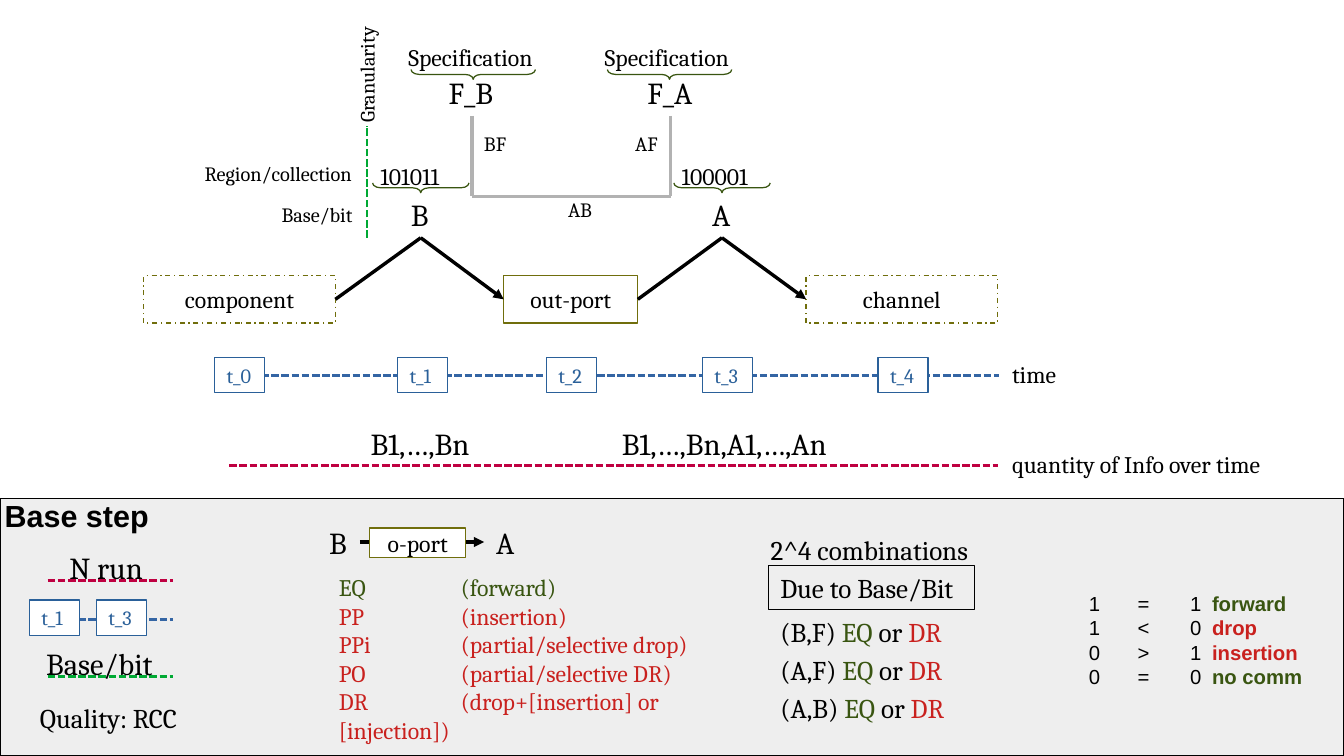
from lxml import etree
from pptx import Presentation
from pptx.dml.color import RGBColor
from pptx.enum.dml import MSO_LINE as DASH
from pptx.enum.shapes import MSO_CONNECTOR, MSO_SHAPE
from pptx.enum.text import MSO_ANCHOR as ANCHOR, MSO_AUTO_SIZE as AUTO, PP_ALIGN as ALIGN
from pptx.oxml.ns import qn
from pptx.util import Inches, Pt

BLACK = RGBColor(0x00, 0x00, 0x00)
WHITE = RGBColor(0xFF, 0xFF, 0xFF)
PANEL = RGBColor(0xEE, 0xEE, 0xEE)
GRAY = RGBColor(0xB2, 0xB2, 0xB2)
OLIVE = RGBColor(0x70, 0x6E, 0x0C)
NAVY = RGBColor(0x2A, 0x60, 0x99)
BLUE = RGBColor(0x34, 0x65, 0xA4)
CRIMSON = RGBColor(0xBF, 0x00, 0x41)
GREEN = RGBColor(0x00, 0xA9, 0x33)
FOREST = RGBColor(0x39, 0x55, 0x11)
RED = RGBColor(0xC9, 0x21, 0x1E)

SERIF, SANS = "Cambria", "Arial"
HEIGHTS = {12: 0.29, 14: 0.33, 16: 0.36, 18: 0.39}
TOP, LEFT, BOTTOM, RIGHT = range(4)

DASHED_LINES = [
    (1.89, 3.08, 8.19, 3.08, BLUE),
    (1.88, 3.82, 8.18, 3.82, CRIMSON),
    (0.39, 4.76, 1.42, 4.76, CRIMSON),
    (0.39, 5.08, 1.42, 5.08, BLUE),
    (0.39, 5.55, 1.42, 5.55, GREEN),
    (3.01, 1.95, 3.01, 1.03, GREEN),
]
TIME_STEPS = [
    ("t_0", 1.76, 2.93), ("t_1", 3.26, 2.93), ("t_2", 4.48, 2.93),
    ("t_3", 5.76, 2.93), ("t_4", 7.2, 2.93),
    ("t_1", 0.24, 4.92), ("t_3", 0.79, 4.92),
]
LABELS = [
    ("time", 8.2, 2.9, 0.63, 14),
    ("quantity of Info over time", 8.2, 3.64, 2.32, 14),
    ("B1,…,Bn", 2.94, 3.44, 1.07, 18),
    ("B1,…,Bn,A1,…,An", 5, 3.44, 2.01, 18),
    ("N run", 0.47, 4.45, 0.8, 18),
    ("Base/bit", 0.28, 5.24, 1.12, 18),
    ("Base/bit", 2.21, 1.61, 0.81, 12),
    ("Region/collection", 1.58, 1.27, 1.46, 12),
    ("AB", 4.56, 1.57, 0.4, 12),
    ("BF", 3.87, 1.03, 0.39, 12),
    ("AF", 5.11, 1.03, 0.39, 12),
    ("2^4 combinations", 6.22, 4.33, 1.93, 16),
]
BRANCHES = [
    ("B", 3.45, "101011", "F_B", 3.87, 3.25),
    ("A", 5.92, "100001", "F_A", 5.5, 4.86),
]
PORTS = [
    ("component", 1.18, 1.57, True),
    ("out-port", 4.13, 1.1, False),
    ("channel", 6.61, 1.57, True),
]
PAIRS = ["(B,F) ", "(A,F) ", "(A,B) "]
OUTCOMES = [
    ("EQ\t(forward)", FOREST),
    ("PP\t(insertion)", RED),
    ("PPi\t(partial/selective drop)", RED),
    ("PO\t(partial/selective DR)", RED),
    ("DR\t(drop+[insertion] or [injection])", RED),
]
COMPARISONS = [
    ("1", "=", "1", "forward", FOREST),
    ("1", "<", "0", "drop", RED),
    ("0", ">", "1", "insertion", RED),
    ("0", "=", "0", "no comm", FOREST),
]

prs = Presentation()
prs.slide_width, prs.slide_height = Inches(11.02), Inches(6.2)
shapes = prs.slides.add_slide(prs.slide_layouts[6]).shapes


def write(sp, paragraphs, size, font=SERIF, align=ALIGN.LEFT, wrap=False, tab=None):
    tf = sp.text_frame
    tf.word_wrap = wrap
    for i, runs in enumerate(paragraphs):
        p = tf.paragraphs[0] if i == 0 else tf.add_paragraph()
        p.alignment = align
        if tab:
            tabs = etree.SubElement(p._p.get_or_add_pPr(), qn("a:tabLst"))
            etree.SubElement(tabs, qn("a:tab"), pos=str(Inches(tab)), algn="l")
        for text, color, bold in runs:
            r = p.add_run()
            r.text = text
            r.font.name, r.font.size, r.font.bold = font, Pt(size), bold
            r.font.color.rgb = color


def text_box(paragraphs, x, y, w, size, **style):
    h = HEIGHTS[size] + (len(paragraphs) - 1) * size * 1.17 / 72
    sp = shapes.add_textbox(Inches(x), Inches(y), Inches(w), Inches(h))
    write(sp, paragraphs, size, **style)
    sp.text_frame.auto_size = AUTO.SHAPE_TO_FIT_TEXT
    return sp


def label(text, x, y, w, size, **style):
    return text_box([[(text, BLACK, False)]], x, y, w, size, **style)


def shape(kind, x, y, w, h, color, fill=None):
    sp = shapes.add_shape(kind, Inches(x), Inches(y), Inches(w), Inches(h))
    sp.shadow.inherit = False
    if fill is None:
        sp.fill.background()
    else:
        sp.fill.solid()
        sp.fill.fore_color.rgb = fill
    sp.line.color.rgb = color
    sp.line.width = 0
    return sp


def box(text, x, y, w, h, size, color, fill=None, ink=BLACK, align=ALIGN.CENTER):
    sp = shape(MSO_SHAPE.RECTANGLE, x, y, w, h, color, fill)
    write(sp, [[(text, ink, False)]], size, align=align)
    sp.text_frame.vertical_anchor = ANCHOR.MIDDLE
    return sp


def brace(center, y, w):
    depth = 0.08
    sp = shape(MSO_SHAPE.LEFT_BRACE, center - depth / 2, y + depth / 2 - w / 2, depth, w, FOREST)
    sp.rotation = 270
    sp.adjustments[0] = 0.83


def line(x1, y1, x2, y2, color, width=0, begin=None, end=None, arrow=False):
    cn = shapes.add_connector(MSO_CONNECTOR.STRAIGHT, Inches(x1), Inches(y1), Inches(x2), Inches(y2))
    if begin:
        cn.begin_connect(*begin)
    if end:
        cn.end_connect(*end)
    cn.line.color.rgb = color
    cn.line.width = Pt(width)
    if arrow:
        etree.SubElement(cn.line._get_or_add_ln(), qn("a:tailEnd"), type="triangle")
    etree.SubElement(cn._element.spPr, qn("a:effectLst"))
    return cn


shape(MSO_SHAPE.RECTANGLE, 0, 4.09, 11.02, 2.11, BLACK, PANEL)
for x1, y1, x2, y2, color in DASHED_LINES:
    line(x1, y1, x2, y2, color, 1.5).line.dash_style = DASH.SQUARE_DOT
for name, x, y in TIME_STEPS:
    box(name, x, y, 0.41, 0.29, 12, NAVY, WHITE, NAVY, ALIGN.LEFT)
for item in LABELS:
    label(*item)
label("Quality: RCC", 0.12, 5.7, 1.54, 16, align=ALIGN.CENTER)
label("Granularity", 2.49, 0.45, 1.02, 12, wrap=True).rotation = 270
text_box([[("Base step", BLACK, True)]], -0.06, 4.03, 1.38, 18, font=SANS)

ports = []
for name, x, w, dashed in PORTS:
    port = box(name, x, 2.26, w, 0.39, 14, OLIVE, None if dashed else WHITE)
    if dashed:
        port.line.dash_style = DASH.DASH_DOT
    ports.append(port)

for i, (bit, x, bits, spec_name, spec_x, title_x) in enumerate(BRANCHES):
    bit_box = label(bit, x - 0.18, 1.56, 0.36, 18)
    label(bits, x - 0.43, 1.28, 0.85, 14, wrap=True)
    brace(x, 1.5, 0.79)
    spec_box = label(spec_name, spec_x - 0.29, 0.56, 0.58, 18)
    label("Specification", title_x, 0.3, 1.28, 14, wrap=True)
    brace(title_x + 0.63, 0.57, 1.02)
    line(spec_x, 0.95, spec_x, 1.61, GRAY, begin=(spec_box, BOTTOM))
    line(0, 0, 0, 0, BLACK, begin=(ports[i], RIGHT), end=(bit_box, BOTTOM))
    line(0, 0, 0, 0, BLACK, begin=(bit_box, BOTTOM), end=(ports[i + 1], LEFT), arrow=True)
line(3.87, 1.61, 5.5, 1.61, GRAY)

source = label("B", 2.6, 4.25, 0.35, 18)
target = label("A", 3.97, 4.25, 0.36, 18)
line(0, 0, 0, 0, BLACK, begin=(source, RIGHT), end=(target, LEFT), arrow=True)
box("o-port", 3.03, 4.33, 0.79, 0.24, 14, OLIVE, WHITE)
text_box([[(text, color, False)] for text, color in OUTCOMES], 2.68, 4.65, 3.39, 14, wrap=True, tab=1)

box("Due to Base/Bit", 6.3, 4.64, 1.69, 0.36, 16, BLACK, align=ALIGN.LEFT)
for i, pair in enumerate(PAIRS):
    runs = [(pair, BLACK, False), ("EQ", FOREST, False), (" or ", BLACK, False), ("DR", RED, False)]
    text_box([runs], 6.3, 5 + i * 0.31, 1.58, 16)

for column, x in enumerate([8.83, 9.23]):
    text_box([[(row[column], BLACK, False)] for row in COMPARISONS], x, 4.8, 0.29, 12, font=SANS)
verdicts = [[(f"{digit}\t", BLACK, False), (word, color, True)] for _, _, digit, word, color in COMPARISONS]
text_box(verdicts, 9.66, 4.8, 1.37, 12, font=SANS, tab=0.18)

prs.save("out.pptx")
